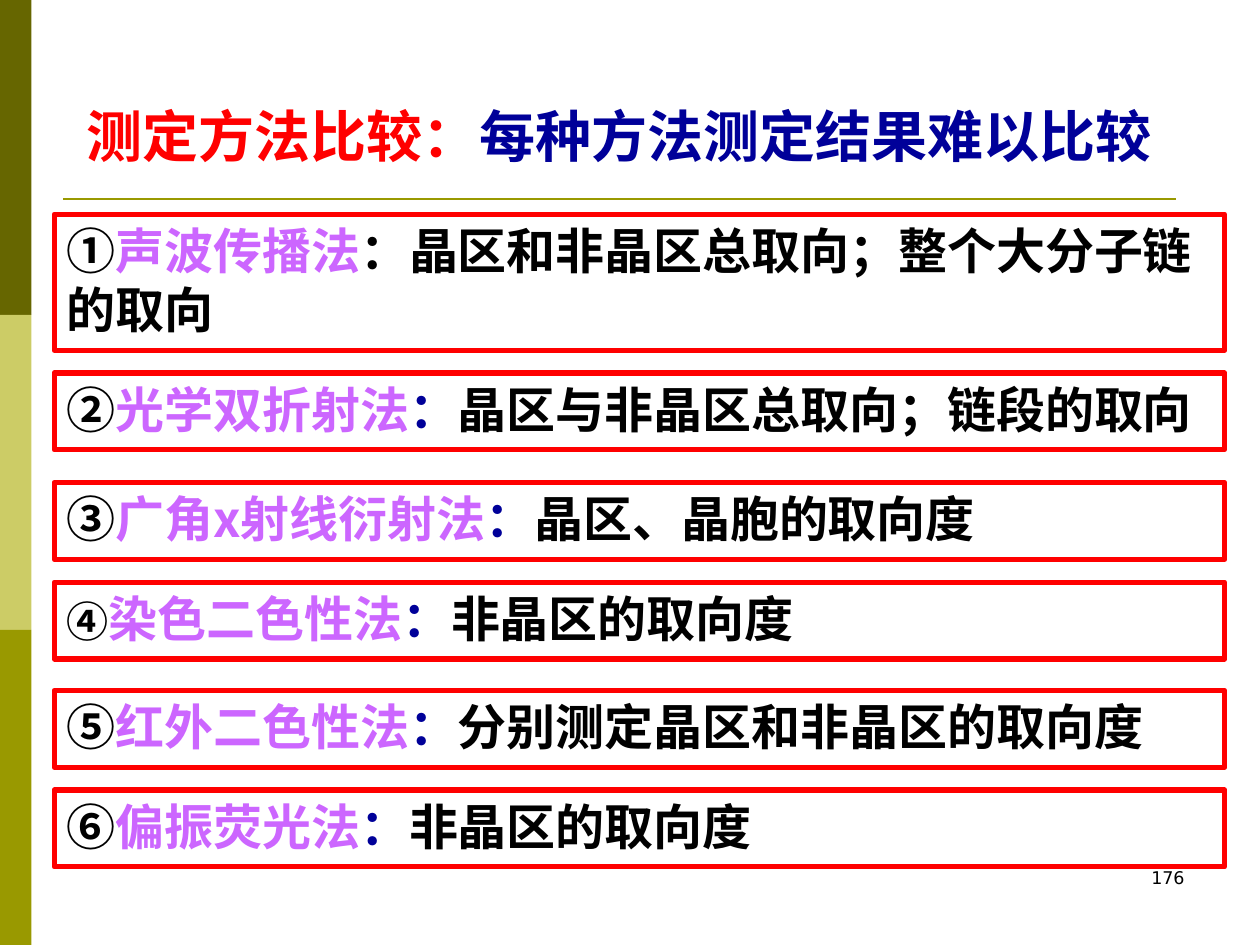
from dataclasses import dataclass

from lxml import etree
from pptx import Presentation
from pptx import util as u
from pptx.dml.color import RGBColor
from pptx.enum import shapes, text
from pptx.oxml import ns


@dataclass(frozen=True)
class Theme:
    cjk: str = "Noto Sans CJK SC"
    latin: str = "DejaVu Sans"
    bands: tuple = ("666600", "CCCC66", "999900")
    rule: str = "999900"
    red: str = "FF0000"
    navy: str = "000099"
    violet: str = "CC66FF"
    black: str = "000000"
    title_size: int = 32
    body_size: int = 28
    small_marker_size: int = 24
    number_size: int = 10


class SlideBuilder:
    def __init__(self, slide, theme):
        self.slide = slide
        self.theme = theme

    def band(self, left, top, width, height, color):
        band = self._rectangle(left, top, width, height)
        band.fill.solid()
        band.fill.fore_color.rgb = RGBColor.from_string(color)
        band.line.fill.background()

    def rule(self, left, top, right, color, weight):
        rule = self.slide.shapes.add_connector(
            shapes.MSO_CONNECTOR.STRAIGHT,
            u.Inches(left), u.Inches(top), u.Inches(right), u.Inches(top))
        rule.line.color.rgb = RGBColor.from_string(color)
        rule.line.width = u.Pt(weight)
        etree.SubElement(rule._element.spPr, ns.qn("a:effectLst"))

    def label(self, left, top, width, height, runs, size, font, **style):
        label = self.slide.shapes.add_textbox(
            u.Inches(left), u.Inches(top), u.Inches(width), u.Inches(height))
        self._write(label.text_frame, runs, size, font, **style)

    def framed_text(self, left, top, width, height, runs):
        frame = self._rectangle(left, top, width, height)
        frame.fill.background()
        frame.line.color.rgb = RGBColor.from_string(self.theme.red)
        frame.line.width = u.Pt(3)
        self._write(frame.text_frame, runs, self.theme.body_size,
                    self.theme.cjk, bold=True)

    def _rectangle(self, left, top, width, height):
        rectangle = self.slide.shapes.add_shape(
            shapes.MSO_SHAPE.RECTANGLE,
            u.Inches(left), u.Inches(top), u.Inches(width), u.Inches(height))
        rectangle.shadow.inherit = False
        return rectangle

    def _write(self, frame, runs, size, font, bold=False,
               align=text.PP_ALIGN.LEFT):
        """Each run is (words, color) or (words, color, own size)."""
        frame.word_wrap = True
        frame.vertical_anchor = text.MSO_ANCHOR.TOP
        paragraph = frame.paragraphs[0]
        paragraph.alignment = align
        paragraph.font.size = u.Pt(size)
        paragraph.font.bold = bold
        paragraph.font.name = font
        for words, color, *own_size in runs:
            run = paragraph.add_run()
            run.text = words
            run.font.color.rgb = RGBColor.from_string(color)
            if own_size:
                run.font.size = u.Pt(own_size[0])
            # East Asian glyphs take their typeface from a:ea
            east_asian = etree.SubElement(run.font._element, ns.qn("a:ea"))
            east_asian.set("typeface", font)


def main():
    theme = Theme()
    deck = Presentation()
    deck.slide_width, deck.slide_height = u.Inches(10), u.Inches(7.5)
    page = SlideBuilder(deck.slides.add_slide(deck.slide_layouts[6]), theme)

    # Side bands and title rule
    for index, color in enumerate(theme.bands):
        page.band(0, 2.5 * index, 0.25, 2.5, color)
    page.rule(0.5, 1.58, 9.33, theme.rule, 1.5)

    # Page number
    page.label(7.17, 6.83, 2.33, 0.5, [("176", theme.black)],
               theme.number_size, theme.latin, align=text.PP_ALIGN.RIGHT)

    # Title
    page.label(0.59, 0.76, 8.9, 0.63,
               [("测定方法比较：", theme.red),
                ("每种方法测定结果难以比较", theme.navy)],
               theme.title_size, theme.cjk, bold=True)

    # Methods: top, height, marker, marker size, name, colon color, finding
    body, small = theme.body_size, theme.small_marker_size
    methods = [
        (1.7, 1.08, "①", body, "声波传播法", theme.black,
         "晶区和非晶区总取向；整个大分子链的取向"),
        (2.96, 0.61, "②", body, "光学双折射法", theme.navy,
         "晶区与非晶区总取向；链段的取向"),
        (3.83, 0.61, "③", body, "广角x射线衍射法", theme.navy,
         "晶区、晶胞的取向度"),
        (4.62, 0.61, "④", small, "染色二色性法", theme.navy,
         "非晶区的取向度"),
        (5.48, 0.61, "⑤", body, "红外二色性法", theme.navy,
         "分别测定晶区和非晶区的取向度"),
        (6.27, 0.61, "⑥", body, "偏振荧光法", theme.navy,
         "非晶区的取向度"),
    ]
    for top, height, marker, marker_size, name, colon_color, finding in methods:
        page.framed_text(0.43, top, 9.29, height, [
            (marker, theme.black, marker_size),
            (name, theme.violet),
            ("：", colon_color),
            (finding, theme.black),
        ])

    deck.save("out.pptx")


if __name__ == "__main__":
    main()
